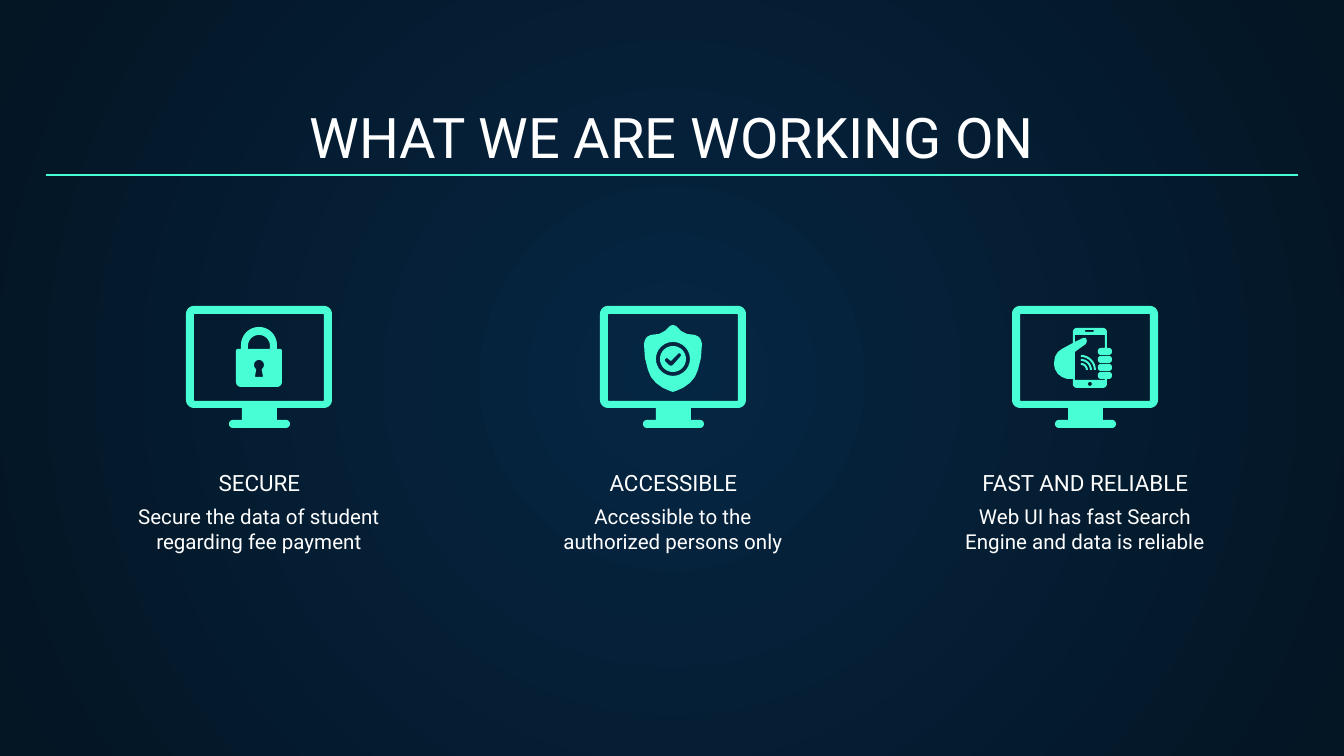
from math import cos, pi, sin

from lxml import etree
from pptx import Presentation
from pptx.dml.color import RGBColor
from pptx.enum.shapes import MSO_CONNECTOR
from pptx.enum.text import MSO_ANCHOR, PP_ALIGN
from pptx.oxml import parse_xml
from pptx.oxml.ns import qn
from pptx.util import Pt

PX = 9144000 / 1344
STRAIGHT = MSO_CONNECTOR.STRAIGHT
TOP, BOTTOM = MSO_ANCHOR.TOP, MSO_ANCHOR.BOTTOM
CENTER = PP_ALIGN.CENTER
STEPS = 8
QUARTER = STEPS + 1  # points in one rounded corner

THEME = {
    "font": "Roboto",
    "text": RGBColor.from_string("FFFFFF"),
    "accent": RGBColor.from_string("48FFD5"),
    "glow": RGBColor.from_string("052643"),
    "edge": RGBColor.from_string("041523"),
    "title": 30,
    "heading": 12,
    "body": 11,
    "rule": 0.75,
}

prs = Presentation()
prs.slide_width, prs.slide_height = round(1344 * PX), round(756 * PX)
slide = prs.slides.add_slide(prs.slide_layouts[6])


def add_text(text, left, top, width, height, *, size, anchor=TOP):
    box = slide.shapes.add_textbox(*(round(v * PX) for v in (left, top, width, height)))
    frame = box.text_frame
    frame.word_wrap = True
    frame.vertical_anchor = anchor
    frame.margin_left = frame.margin_right = round(13 * PX)
    frame.margin_top = frame.margin_bottom = round(13 * PX)
    paragraph = frame.paragraphs[0]
    paragraph.alignment = CENTER
    run = paragraph.add_run()
    run.text = text
    run.font.name = THEME["font"]
    run.font.size = Pt(size)
    run.font.color.rgb = THEME["text"]


def rounded(left, top, right, bottom, top_radius, bottom_radius):
    """Points of a rounded box, clockwise from its bottom left corner."""
    t, b = top_radius, bottom_radius
    corners = [(left + b, bottom - b, b), (left + t, top + t, t),
               (right - t, top + t, t), (right - b, bottom - b, b)]
    return [(x + r * cos(pi / 2 * (turn + step / STEPS)),
             y + r * sin(pi / 2 * (turn + step / STEPS)))
            for turn, (x, y, r) in enumerate(corners, start=1)
            for step in range(QUARTER)]


# Background glow
glow = slide.background.fill
glow.gradient()
for stop, position, color in zip(glow.gradient_stops, (0, 1), ("glow", "edge")):
    stop.position = position
    stop.color.rgb = THEME[color]
gradient = slide.element.xpath(".//a:gradFill")[0]
linear = gradient.find(qn("a:lin"))
gradient.replace(linear, parse_xml(
    '<a:path xmlns:a="http://schemas.openxmlformats.org/drawingml/2006/main" path="circle">'
    '<a:fillToRect l="50000" t="50000" r="50000" b="50000"/></a:path>'))

# Title and rule
add_text("WHAT WE ARE WORKING ON", 46, 94, 1252, 89, size=THEME["title"], anchor=BOTTOM)
rule = slide.shapes.add_connector(
    STRAIGHT, *(round(v * PX) for v in (46, 175, 1298, 175)))
rule.line.color.rgb = THEME["accent"]
rule.line.width = Pt(THEME["rule"])
etree.SubElement(rule._element.spPr, qn("a:effectLst"))

# Icon outlines: x runs from the column centre, y from the slide top
# Monitor: frame and stand in one outline, with the screen cut out
frame_edge = rounded(-73, 306, 73, 408, 8, 8)
base = rounded(-30, 420, 31, 428, 4, 4)
stand = ([(18, 408), (18, 420)] + base[2 * QUARTER:] + base[:2 * QUARTER]
         + [(-17, 420), (-17, 408)])
monitor = [frame_edge + stand, rounded(-65, 314, 65, 401, 1, 1)]

# Padlock: shackle joined to the top of the body
lock_body = rounded(-23, 349, 23, 387, 2, 5)
shackle = rounded(-18, 327, 18, 349, 18, 0)
keyhole = rounded(-5, 360, 5, 370, 5, 5)[3:-3] + [(4, 377), (-4, 377)]
padlock = [lock_body[:2 * QUARTER] + shackle + lock_body[2 * QUARTER:],
           rounded(-11, 335, 11, 349, 11, 0), keyhole]

# Shield: one side mirrored, around a disc with a check mark
shield_side = [(0, 325), (3, 326), (8, 331), (14, 334), (22, 335), (26, 337),
               (28, 340), (29, 344), (28, 358), (25, 370), (22, 377), (17, 383),
               (10, 388), (3, 391), (0, 392)]
shield_edge = shield_side + [(-x, y) for x, y in reversed(shield_side)]
check = [(6, 353), (8, 354), (8, 356), (0, 365), (-2, 366), (-4, 365), (-8, 361),
         (-8, 359), (-6, 358), (-2, 361)]
shield = [shield_edge, rounded(-17, 342, 17, 376, 17, 17)]
check_disc = [rounded(-13, 346, 13, 372, 13, 13), check]

# Phone held in a hand
phone_case = rounded(-12, 328, 22, 388, 4, 4)
palm = [(-12, 379), (-18, 379), (-23, 377), (-27, 374), (-30, 369), (-31, 364),
        (-30, 357), (-27, 352), (-23, 349), (-12, 343)]
screen = [(-10, 335), (20, 335), (20, 348), (22, 348), (22, 379), (20, 379),
          (20, 380), (-10, 380), (-10, 352), (-6, 349), (1, 344), (2, 341),
          (1, 338), (-2, 338), (-10, 342)]
phone = [phone_case[:QUARTER] + palm + phone_case[QUARTER:], screen,
         rounded(0, 330, 9, 332, 1, 1), rounded(3, 382, 7, 386, 2, 2)]
for finger in range(4):
    finger_top = 348 + 8 * finger
    phone.append(rounded(13, finger_top, 27, finger_top + 7, 3, 3))
for radius in (7, 11, 15):
    outer, inner = (rounded(-4 - r, 370 - r, -4 + r, 370 + r, r, r)[2 * QUARTER:3 * QUARTER]
                    for r in (radius, radius - 2))
    phone.append(outer + inner[::-1])

# Three columns: icon, heading and description
columns = [
    (259, [monitor, padlock], "SECURE",
     "Secure the data of student regarding fee payment"),
    (673, [monitor, check_disc, shield], "ACCESSIBLE",
     "Accessible to the authorized persons only"),
    (1085, [monitor, phone], "FAST AND RELIABLE",
     "Web UI has fast Search Engine and data is reliable"),
]
for center, icon, heading, description in columns:
    for part in icon:
        outlines = [[((center + x) * PX, y * PX) for x, y in outline] for outline in part]
        builder = slide.shapes.build_freeform(*outlines[0][0])
        builder.add_line_segments(outlines[0][1:], close=True)
        for cutout in outlines[1:]:
            builder.move_to(*cutout[0])
            builder.add_line_segments(cutout[1:], close=True)
        icon_part = builder.convert_to_shape()
        icon_part.shadow.inherit = False
        icon_part.fill.solid()
        icon_part.fill.fore_color.rgb = THEME["accent"]
        icon_part.line.fill.background()
    add_text(description, center - 139, 491, 278, 74, size=THEME["body"])
    add_text(heading, center - 152, 481, 305, 28, size=THEME["heading"], anchor=BOTTOM)

prs.save("out.pptx")
